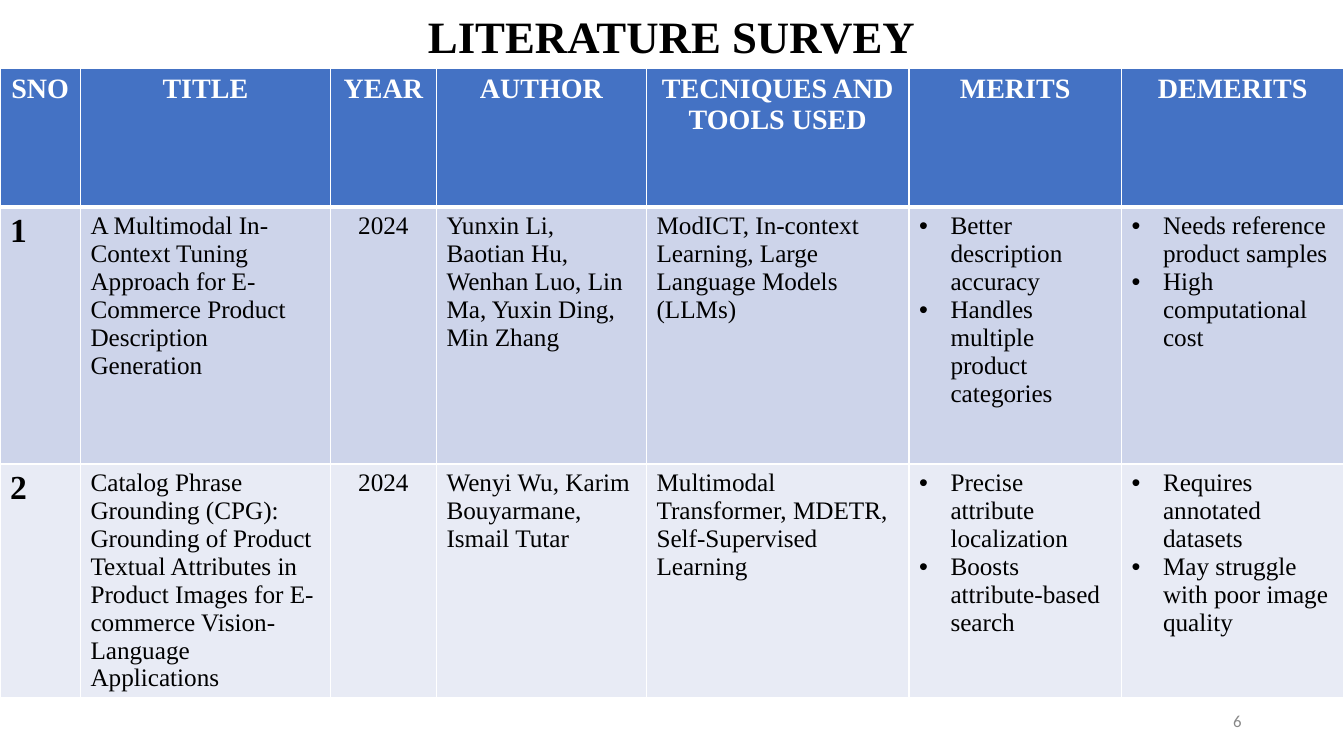
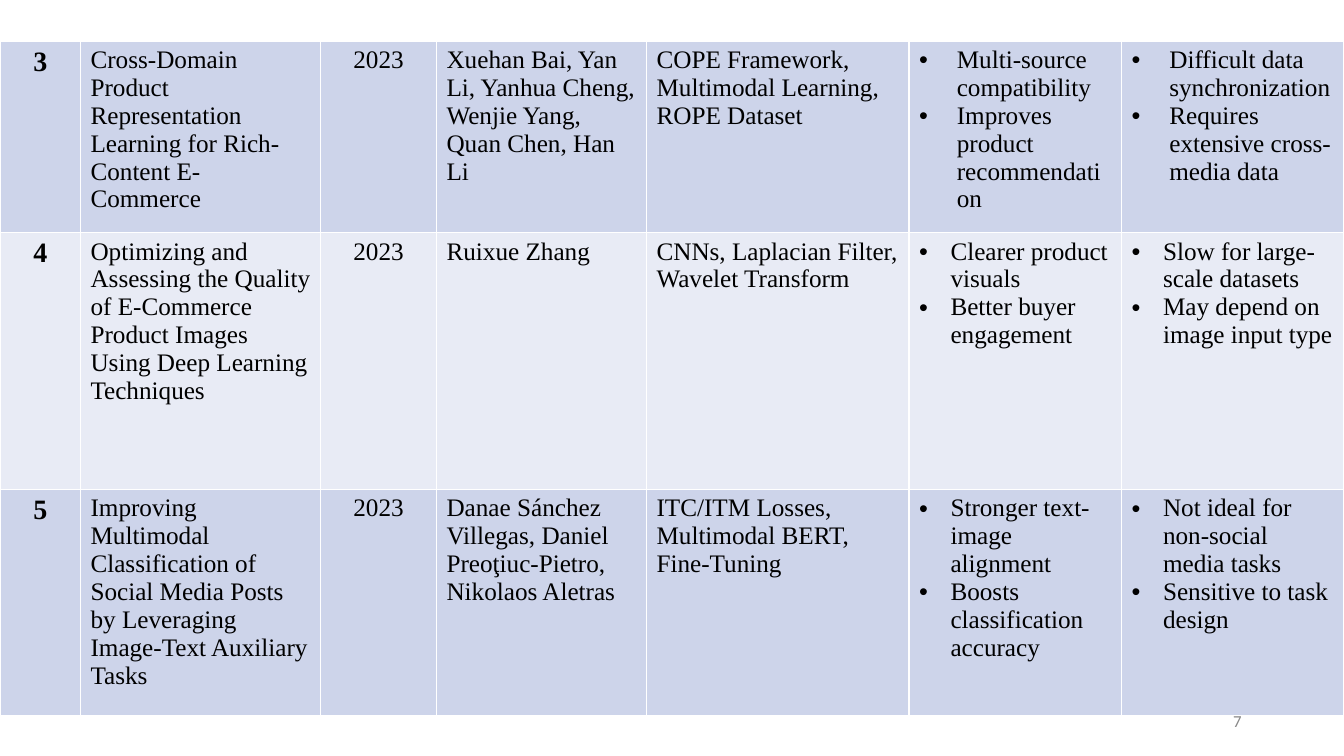
import pptx
import pptx.dml.color
import pptx.enum.text
import pptx.oxml.ns
import pptx.util
import lxml.etree

Pt = pptx.util.Pt
RGBColor = pptx.dml.color.RGBColor
ALIGN = pptx.enum.text.PP_ALIGN
ANCHOR = pptx.enum.text.MSO_ANCHOR
qn = pptx.oxml.ns.qn

# Shared look
WHITE = RGBColor(0xFF, 0xFF, 0xFF)
BLACK = RGBColor(0, 0, 0)
GREY = RGBColor(0x88, 0x88, 0x88)
HEADER_BLUE = RGBColor(0x44, 0x72, 0xC4)
BAND_DARK = RGBColor(0xCD, 0xD4, 0xEA)
BAND_LIGHT = RGBColor(0xE8, 0xEB, 0xF5)
SERIF = "Times New Roman"
SLIDE_WIDTH, SLIDE_HEIGHT = 960, 540
OUTER_COLUMNS = [150, 187.5, 151.8, 158.9]  # author to demerits

HEADINGS = ["SNO", "TITLE", "YEAR", "AUTHOR", "TECNIQUES AND TOOLS USED",
            "MERITS", "DEMERITS"]

# Each paper: number, title, year, authors, techniques, merits, demerits
PAPERS_2024 = [
    ["1",
     "A Multimodal In-Context Tuning Approach for E-Commerce Product "
     "Description Generation",
     "2024",
     "Yunxin Li, Baotian Hu, Wenhan Luo, Lin Ma, Yuxin Ding, Min Zhang",
     "ModICT, In-context Learning, Large Language Models (LLMs)",
     ["Better description accuracy", "Handles multiple product categories"],
     ["Needs reference product samples", "High computational cost"]],
    ["2",
     "Catalog Phrase Grounding (CPG): Grounding of Product Textual Attributes "
     "in Product Images for E-commerce Vision-Language Applications",
     "2024",
     "Wenyi Wu, Karim Bouyarmane, Ismail Tutar",
     "Multimodal Transformer, MDETR, Self-Supervised Learning",
     ["Precise attribute localization", "Boosts attribute-based search"],
     ["Requires annotated datasets", "May struggle with poor image quality"]],
]
PAPERS_2023 = [
    ["3",
     "Cross-Domain Product Representation Learning for Rich-Content E-Commerce",
     "2023",
     "Xuehan Bai, Yan Li, Yanhua Cheng, Wenjie Yang, Quan Chen, Han Li",
     "COPE Framework, Multimodal Learning, ROPE Dataset",
     ["Multi-source compatibility", "Improves product recommendation"],
     ["Difficult data synchronization", "Requires extensive cross-media data"]],
    ["4",
     "Optimizing and Assessing the Quality of E-Commerce Product Images Using "
     "Deep Learning Techniques",
     "2023",
     "Ruixue Zhang",
     "CNNs, Laplacian Filter, Wavelet Transform",
     ["Clearer product visuals", "Better buyer engagement"],
     ["Slow for large-scale datasets", "May depend on image input type"]],
    ["5",
     "Improving Multimodal Classification of Social Media Posts by Leveraging "
     "Image-Text Auxiliary Tasks",
     "2023",
     "Danae Sánchez Villegas, Daniel Preoţiuc-Pietro, Nikolaos Aletras",
     "ITC/ITM Losses, Multimodal BERT, Fine-Tuning",
     ["Stronger text-image alignment", "Boosts classification accuracy"],
     ["Not ideal for non-social media tasks", "Sensitive to task design"]],
]


def format_text(frame, size, color, font=SERIF, bold=False, align=ALIGN.LEFT):
    for paragraph in frame.paragraphs:
        paragraph.alignment = align
        for run in paragraph.runs:
            run.font.name = font
            run.font.size = Pt(size)
            run.font.bold = bold
            run.font.color.rgb = color


def add_bullets(frame, indent):
    for paragraph in frame.paragraphs:
        properties = paragraph._p.get_or_add_pPr()
        properties.set("marL", str(Pt(indent)))
        properties.set("indent", str(-Pt(indent)))
        bullet_color = lxml.etree.SubElement(properties, qn("a:buClr"))
        lxml.etree.SubElement(bullet_color, qn("a:srgbClr"), val=str(BLACK))
        lxml.etree.SubElement(properties, qn("a:buFont"), typeface="Arial")
        lxml.etree.SubElement(properties, qn("a:buChar"), char="•")


def draw_borders(cell, top=1, bottom=1):
    properties = cell._tc.get_or_add_tcPr()
    for side, width in (("L", 1), ("R", 1), ("T", top), ("B", bottom)):
        line = lxml.etree.SubElement(properties, qn("a:ln" + side), w=str(Pt(width)))
        fill = lxml.etree.SubElement(line, qn("a:solidFill"))
        lxml.etree.SubElement(fill, qn("a:srgbClr"), val=str(WHITE))


def paint_cell(cell, color, **borders):
    draw_borders(cell, **borders)
    cell.fill.solid()
    cell.fill.fore_color.rgb = color


def fill_header(table):
    for cell, heading in zip(table.rows[0].cells, HEADINGS):
        cell.text_frame.text = heading
        format_text(cell.text_frame, 20, WHITE, bold=True, align=ALIGN.CENTER)
        paint_cell(cell, HEADER_BLUE, bottom=3)


def fill_paper(row, paper, band, number_size, number_align, indent, top):
    for column, (cell, content) in enumerate(zip(row.cells, paper)):
        frame = cell.text_frame
        bulleted = isinstance(content, list)
        frame.text = "\n".join(content) if bulleted else content
        if column == 0:
            format_text(frame, number_size, BLACK, bold=True, align=number_align)
        else:
            format_text(frame, 18, BLACK,
                        align=ALIGN.CENTER if column == 2 else ALIGN.LEFT)
        if bulleted:
            add_bullets(frame, indent)
        paint_cell(cell, band, top=top)


def add_survey_table(slide, top, inner_columns, heights, papers, has_header=False,
                     number_size=20, number_align=ALIGN.CENTER, first_indent=22.5):
    widths = inner_columns + OUTER_COLUMNS
    table = slide.shapes.add_table(len(heights), len(widths), 0, Pt(top),
                                   Pt(SLIDE_WIDTH), Pt(sum(heights))).table
    table.first_row = has_header
    table.horz_banding = False
    for column, width in zip(table.columns, widths):
        column.width = Pt(width)
    for row, height in zip(table.rows, heights):
        row.height = Pt(height)
    if has_header:
        fill_header(table)
    for index, paper in enumerate(papers):
        fill_paper(table.rows[index + has_header], paper,
                   BAND_LIGHT if index % 2 else BAND_DARK,
                   number_size, number_align,
                   indent=22.5 if index else first_indent,
                   top=3 if has_header and index == 0 else 1)


def add_text(slide, text, left, top, width, height, anchor=ANCHOR.TOP, **style):
    frame = slide.shapes.add_textbox(Pt(left), Pt(top), Pt(width), Pt(height)).text_frame
    frame.word_wrap = True
    frame.vertical_anchor = anchor
    frame.text = text
    format_text(frame, **style)


def add_page_number(slide, number):
    add_text(slide, str(number), 678, 500.5, 216, 28.75, anchor=ANCHOR.MIDDLE,
             size=12, color=GREY, font="Calibri", align=ALIGN.RIGHT)


def main():
    deck = pptx.Presentation()
    deck.slide_width, deck.slide_height = Pt(SLIDE_WIDTH), Pt(SLIDE_HEIGHT)
    blank = deck.slide_layouts[6]

    # Survey with title and headings
    opening = deck.slides.add_slide(blank)
    add_survey_table(opening, 49, [57.5, 178.5, 75.8], [99, 183.5, 161.3],
                     PAPERS_2024, has_header=True, number_size=24,
                     number_align=ALIGN.LEFT)
    add_text(opening, "LITERATURE SURVEY", 231, 3, 497.5, 46,
             size=32, color=BLACK, bold=True, align=ALIGN.CENTER)
    add_page_number(opening, 6)

    # Survey continued
    continued = deck.slides.add_slide(blank)
    add_survey_table(continued, 29.25, [57.5, 171.5, 82.8], [128.2, 183.5, 161.3],
                     PAPERS_2023, first_indent=27)
    add_page_number(continued, 7)

    deck.save("out.pptx")


if __name__ == "__main__":
    main()
